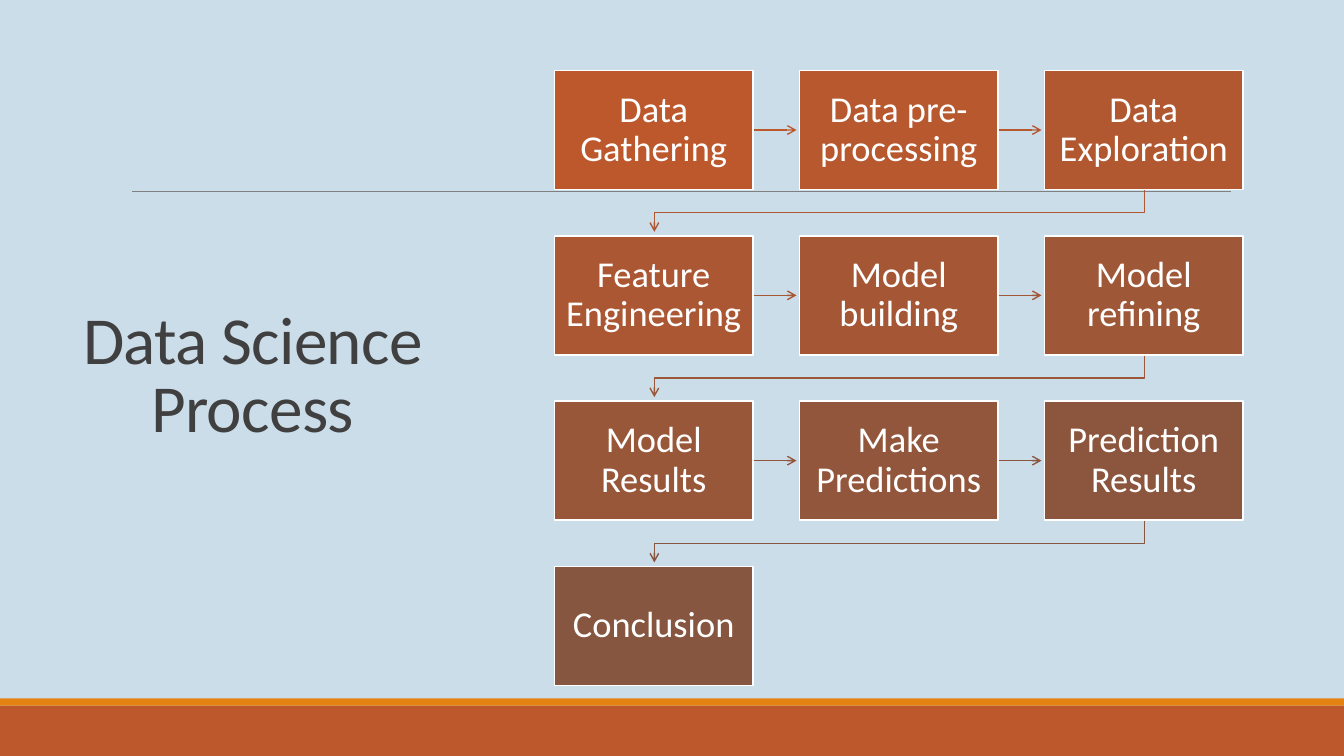
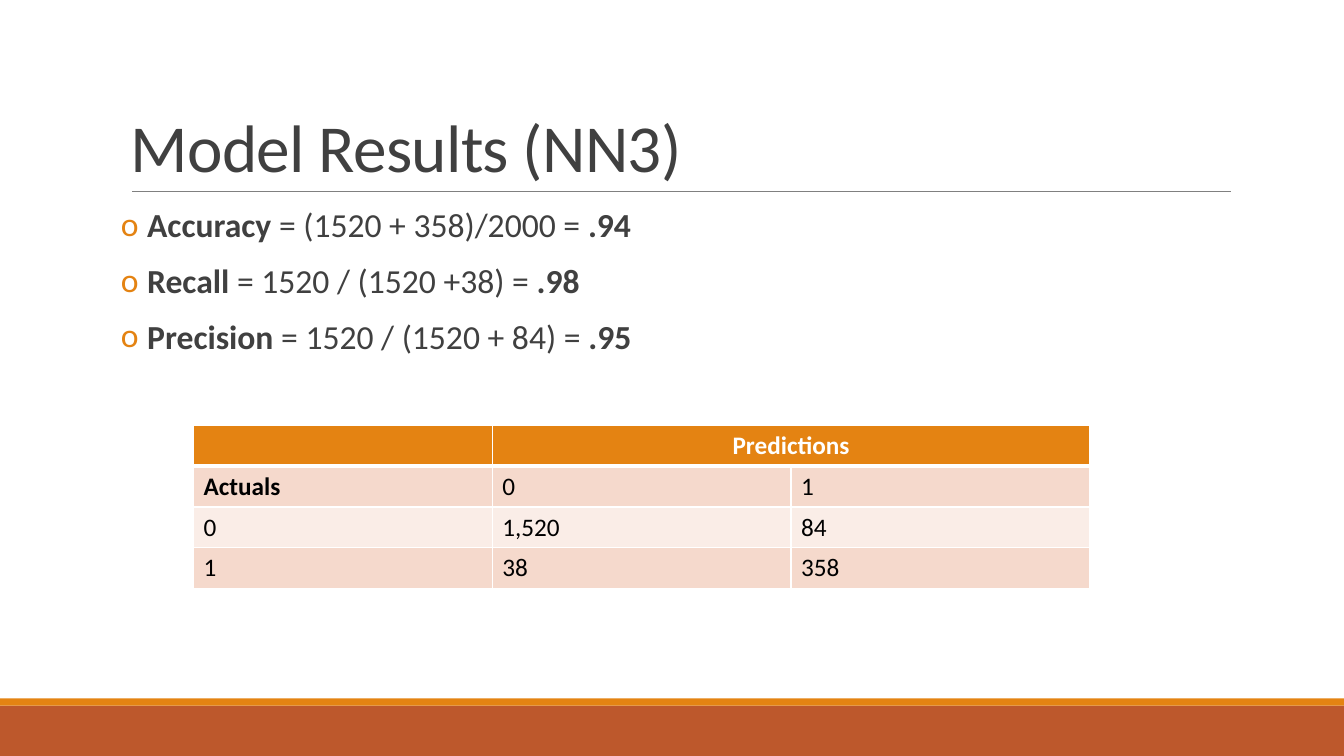
import lxml.etree
import pptx
import pptx.dml.color
import pptx.enum.shapes
import pptx.enum.text
import pptx.oxml.ns
import pptx.util

SCALE = 9144
FONT = "Calibri"
RUST, AMBER, BROWN = "BD582C", "E48312", "865640"
INK, GREY, WHITE, BLACK, SKY = "404040", "808080", "FFFFFF", "000000", "CCDDEA"
ROSE, BLUSH = "F5D9CC", "FAEDE7"
WIDE, HIGH = 1333, 750
ALIGN = pptx.enum.text.PP_ALIGN
ANCHOR = pptx.enum.text.MSO_ANCHOR
RECT = pptx.enum.shapes.MSO_SHAPE.RECTANGLE
STRAIGHT = pptx.enum.shapes.MSO_CONNECTOR.STRAIGHT
TITLE = dict(size=48, color=INK, lead=0.85, track=-50)

STEPS = [
    "Data Gathering", "Data pre-processing", "Data Exploration",
    "Feature Engineering", "Model building", "Model refining",
    "Model Results", "Make Predictions", "Prediction Results",
    "Conclusion",
]
COLS, LEFT, TOP = 3, 550, 70
BOX_W, BOX_H, STEP_X, STEP_Y = 197, 118, 243, 164

SCORES = """*Accuracy *= (1520 + 358)/2000 = *.94*
*Recall* = 1520 / (1520 +38) = *.98*
*Precision* = 1520 / (1520 + 84) = *.95*"""
ROWS = [
    ["", "*Predictions*", ""],
    ["*Actuals*", "0", "1"],
    ["0", "1,520", "84"],
    ["1", "38", "358"],
]


def px(*nums):
    return [pptx.util.Emu(round(n * SCALE)) for n in nums]


def rgb(code):
    return pptx.dml.color.RGBColor.from_string(code)


def mix(start, end, part):
    pairs = [(int(start[i:i + 2], 16), int(end[i:i + 2], 16)) for i in (0, 2, 4)]
    return "".join(f"{round(a + (b - a) * part):02X}" for a, b in pairs)


def node(parent, tag, **attrs):
    return lxml.etree.SubElement(parent, pptx.oxml.ns.qn(tag), attrs)


def bullet(para, mark, color, dent):
    props = para._p.get_or_add_pPr()
    props.set("marL", str(dent * SCALE))
    props.set("indent", str(-dent * SCALE))
    node(node(props, "a:buClr"), "a:srgbClr", val=color)
    node(props, "a:buFont", typeface=FONT)
    node(props, "a:buChar", char=mark)


def write(frame, text, size=18, color=INK, align=ALIGN.LEFT, anchor=ANCHOR.TOP,
          lead=1.0, before=0, after=0, track=0, mark=None):
    frame.word_wrap = True
    frame.vertical_anchor = anchor
    for row, line in enumerate(text.split("\n")):
        para = frame.add_paragraph() if row else frame.paragraphs[0]
        if mark:
            bullet(para, mark, AMBER, 26)
        para.alignment = align
        para.line_spacing = lead
        para.space_before = pptx.util.Pt(before if row else 0)
        para.space_after = pptx.util.Pt(after)
        para.font.size = pptx.util.Pt(size)
        for part, words in enumerate(line.split("*")):
            if not words:
                continue
            run = para.add_run()
            run.text = words
            run.font.name = FONT
            run.font.size = pptx.util.Pt(size)
            run.font.bold = part % 2 == 1
            run.font.color.rgb = rgb(color)
            if track:
                run._r.get_or_add_rPr().set("spc", str(track))


def label(slide, area, text, inset=(10, 5), **style):
    frame = slide.shapes.add_textbox(*px(*area)).text_frame
    frame.margin_left = frame.margin_right = px(inset[0])[0]
    frame.margin_top = frame.margin_bottom = px(inset[1])[0]
    write(frame, text, **style)


def block(slide, area, fill, edge=None):
    shape = slide.shapes.add_shape(RECT, *px(*area))
    shape.shadow.inherit = False
    shape.fill.solid()
    shape.fill.fore_color.rgb = rgb(fill)
    if edge:
        shape.line.color.rgb = rgb(edge)
        shape.line.width = pptx.util.Pt(1.25)
    else:
        shape.line.fill.background()
    return shape


def stroke(shape, color, width, arrow=False):
    shape.line.color.rgb = rgb(color)
    shape.line.width = pptx.util.Pt(width)
    if arrow:
        node(shape.line._get_or_add_ln(), "a:tailEnd", type="arrow")


def line(slide, ends, color, width, arrow=False):
    shape = slide.shapes.add_connector(STRAIGHT, *px(*ends))
    stroke(shape, color, width, arrow)
    node(shape._element.spPr, "a:effectLst")


def bend(slide, points, color):
    spots = [tuple(px(*spot)) for spot in points]
    pen = slide.shapes.build_freeform(*spots[0])
    pen.add_line_segments(spots[1:], close=False)
    shape = pen.convert_to_shape()
    shape.shadow.inherit = False
    shape.fill.background()
    stroke(shape, color, 1, True)


def base(deck, back):
    slide = deck.slides.add_slide(deck.slide_layouts[6])
    slide.background.fill.solid()
    slide.background.fill.fore_color.rgb = rgb(back)
    block(slide, (0, 700, WIDE, 50), RUST)
    block(slide, (0, 693, WIDE, 7), AMBER)
    line(slide, (131, 190, 1221, 190), GREY, 0.5)
    return slide


def place(index):
    row, col = divmod(index, COLS)
    return LEFT + col * STEP_X, TOP + row * STEP_Y


def link(slide, index, color):
    x, y = place(index)
    to_x, to_y = place(index + 1)
    if y == to_y:
        mid = y + BOX_H // 2
        line(slide, (x + BOX_W, mid, to_x - 3, mid), color, 1, True)
    else:
        half, low = BOX_W // 2 + 1, y + BOX_H
        turn = (low + to_y) // 2
        bend(slide, [(x + half, low), (x + half, turn),
                     (to_x + half, turn), (to_x + half, to_y - 4)], color)


def flow(slide):
    last = len(STEPS) - 1
    for index, name in enumerate(STEPS):
        if index < last:
            link(slide, index, mix(RUST, BROWN, index / (last - 1)))
        shape = block(slide, (*place(index), BOX_W, BOX_H),
                      mix(RUST, BROWN, index / last), WHITE)
        write(shape.text_frame, name, size=26, color=WHITE, lead=0.9,
              align=ALIGN.CENTER, anchor=ANCHOR.MIDDLE)


def border(cell, **widths):
    props = cell._tc.get_or_add_tcPr()
    for side in "LRTB":
        edge = node(props, "a:ln" + side, w=str(pptx.util.Pt(widths.get(side, 1))))
        node(node(edge, "a:solidFill"), "a:srgbClr", val=WHITE)


def grid(slide, area):
    table = slide.shapes.add_table(len(ROWS), len(ROWS[0]), *px(*area)).table
    table.cell(0, 1).merge(table.cell(0, 2))
    fills = [AMBER, ROSE, BLUSH, ROSE]
    for r, row in enumerate(ROWS):
        for c, text in enumerate(row):
            cell = table.cell(r, c)
            border(cell, T=3 if r == 1 else 1, B=1 if r else 3)
            cell.fill.solid()
            cell.fill.fore_color.rgb = rgb(fills[r])
            write(cell.text_frame, text, color=BLACK if r else WHITE,
                  align=ALIGN.LEFT if r else ALIGN.CENTER)


def main():
    deck = pptx.Presentation()
    deck.slide_width, deck.slide_height = px(WIDE, HIGH)

    slide = base(deck, SKY)
    label(slide, (70, 70, 361, 610), "Data Science Process",
          align=ALIGN.CENTER, anchor=ANCHOR.MIDDLE, **TITLE)
    flow(slide)

    slide = base(deck, WHITE)
    label(slide, (120, 31, 1100, 159), "Model Results (NN3)",
          anchor=ANCHOR.BOTTOM, **TITLE)
    label(slide, (120, 202, 1100, 200), SCORES, inset=(0, 5), size=24,
          lead=0.9, before=12, after=2, mark="o")
    grid(slide, (192, 422, 889, 162))

    deck.save("out.pptx")


if __name__ == "__main__":
    main()
